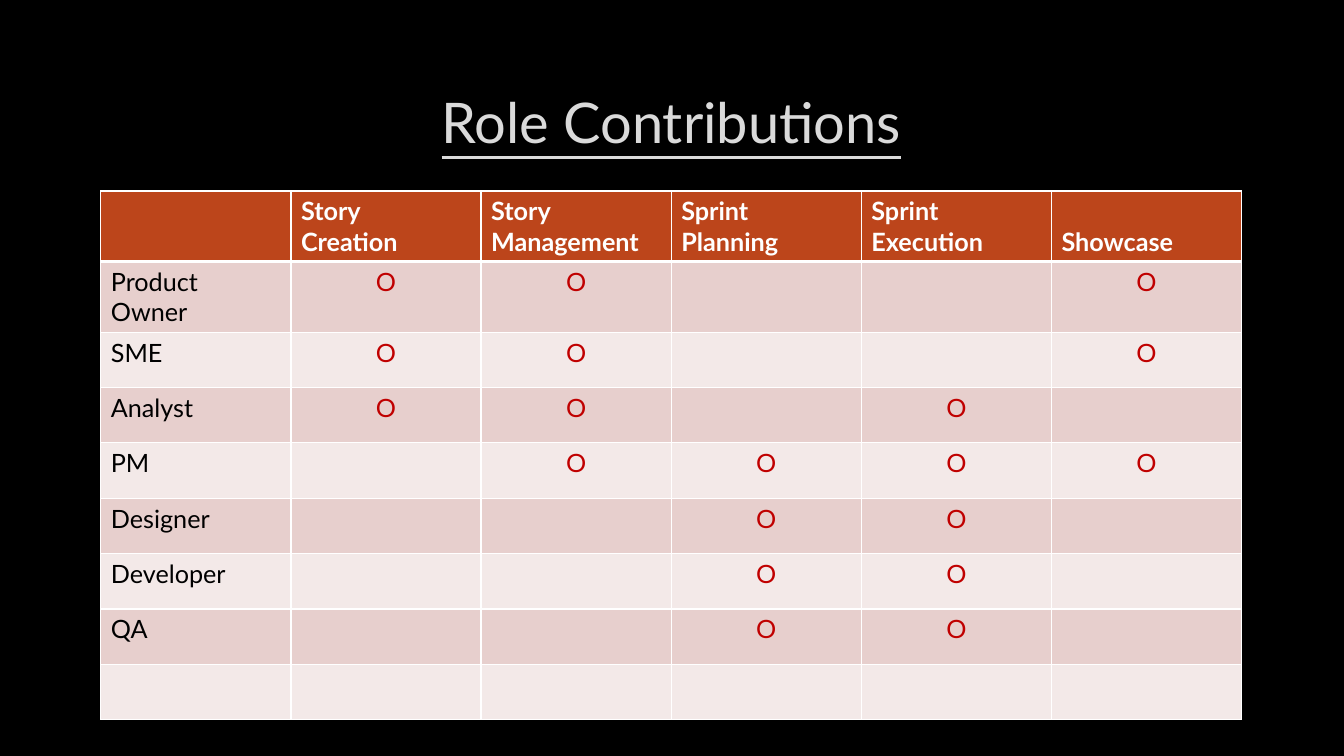
from pptx import Presentation
from pptx.dml.color import RGBColor
from pptx.enum.text import MSO_ANCHOR, PP_ALIGN
from pptx.oxml import parse_xml
from pptx.oxml.ns import nsdecls
from pptx.util import Pt

CENTER, LEFT, MIDDLE = PP_ALIGN.CENTER, PP_ALIGN.LEFT, MSO_ANCHOR.MIDDLE
FONT = "Lato"
BLACK = RGBColor(0x00, 0x00, 0x00)
WHITE = RGBColor(0xFF, 0xFF, 0xFF)
TITLE_GREY = RGBColor(0xDA, 0xDA, 0xDA)
HEADER_RUST = RGBColor(0xBC, 0x45, 0x1B)
BAND_COLORS = [RGBColor(0xE7, 0xCF, 0xCD), RGBColor(0xF3, 0xE9, 0xE8)]
MARK_RED = RGBColor(0xC0, 0x00, 0x00)

# Content: each role with the activities it contributes to
TITLE = "Role Contributions"
ACTIVITIES = ["Story \vCreation", "Story Management", "Sprint Planning",
              "Sprint Execution", "\vShowcase"]
CONTRIBUTIONS = [
    ("Product Owner", (1, 2, 5)),
    ("SME", (1, 2, 5)),
    ("Analyst", (1, 2, 4)),
    ("PM", (2, 3, 4, 5)),
    ("Designer", (3, 4)),
    ("Developer", (3, 4)),
    ("QA", (3, 4)),
    ("", ()),
]

# Layout in points
MARGIN, CONTENT_WIDTH = 72, 815
TITLE_TOP, TITLE_HEIGHT = 48, 76.5
TABLE_TOP, HEADER_HEIGHT, ROW_HEIGHT = 136.4, 50.4, 39.55
THIN, THICK = 1, 3


def set_font(paragraph, size, color, bold=False):
    font = paragraph.font
    font.name, font.size, font.bold = FONT, Pt(size), bold
    font.color.rgb = color


def set_borders(cell, top, bottom):
    properties = cell._tc.get_or_add_tcPr()
    widths = [("lnL", THIN), ("lnR", THIN), ("lnT", top), ("lnB", bottom)]
    for position, (tag, width) in enumerate(widths):
        properties.insert(position, parse_xml(
            f'<a:{tag} {nsdecls("a")} w="{Pt(width)}"><a:solidFill>'
            f'<a:srgbClr val="{WHITE}"/></a:solidFill></a:{tag}>'))


presentation = Presentation()
presentation.slide_width, presentation.slide_height = Pt(960), Pt(540)
slide = presentation.slides.add_slide(presentation.slide_layouts[5])
slide.background.fill.solid()
slide.background.fill.fore_color.rgb = BLACK

# Title
title = slide.shapes.title
title.left, title.top = Pt(MARGIN), Pt(TITLE_TOP)
title.width, title.height = Pt(CONTENT_WIDTH), Pt(TITLE_HEIGHT)
title.text_frame.text = TITLE
title.text_frame.vertical_anchor = MIDDLE
heading = title.text_frame.paragraphs[0]
heading.alignment = CENTER
set_font(heading, 40, TITLE_GREY)
heading.font.underline = True

# Table of roles against activities
rows = [[""] + ACTIVITIES]
for role, activities in CONTRIBUTIONS:
    marks = ["O" if number in activities else ""
             for number in range(1, len(ACTIVITIES) + 1)]
    rows.append([role] + marks)

table_height = HEADER_HEIGHT + ROW_HEIGHT * len(CONTRIBUTIONS)
table = slide.shapes.add_table(
    len(rows), len(rows[0]), Pt(MARGIN), Pt(TABLE_TOP),
    Pt(CONTENT_WIDTH), Pt(table_height)).table
for column in table.columns:
    column.width = Pt(CONTENT_WIDTH / len(rows[0]))

for row_index, row in enumerate(rows):
    is_header = row_index == 0
    table.rows[row_index].height = Pt(HEADER_HEIGHT if is_header else ROW_HEIGHT)
    for column_index, text in enumerate(row):
        is_mark = not is_header and column_index > 0
        cell = table.cell(row_index, column_index)
        cell.text_frame.text = text
        paragraph = cell.text_frame.paragraphs[0]
        paragraph.alignment = CENTER if is_mark else LEFT
        color = WHITE if is_header else MARK_RED if is_mark else BLACK
        set_font(paragraph, 18, color, bold=is_header)
        cell.fill.solid()
        cell.fill.fore_color.rgb = (
            HEADER_RUST if is_header else BAND_COLORS[(row_index - 1) % 2])
        set_borders(cell, top=THICK if row_index == 1 else THIN,
                    bottom=THICK if is_header else THIN)

presentation.save("out.pptx")
